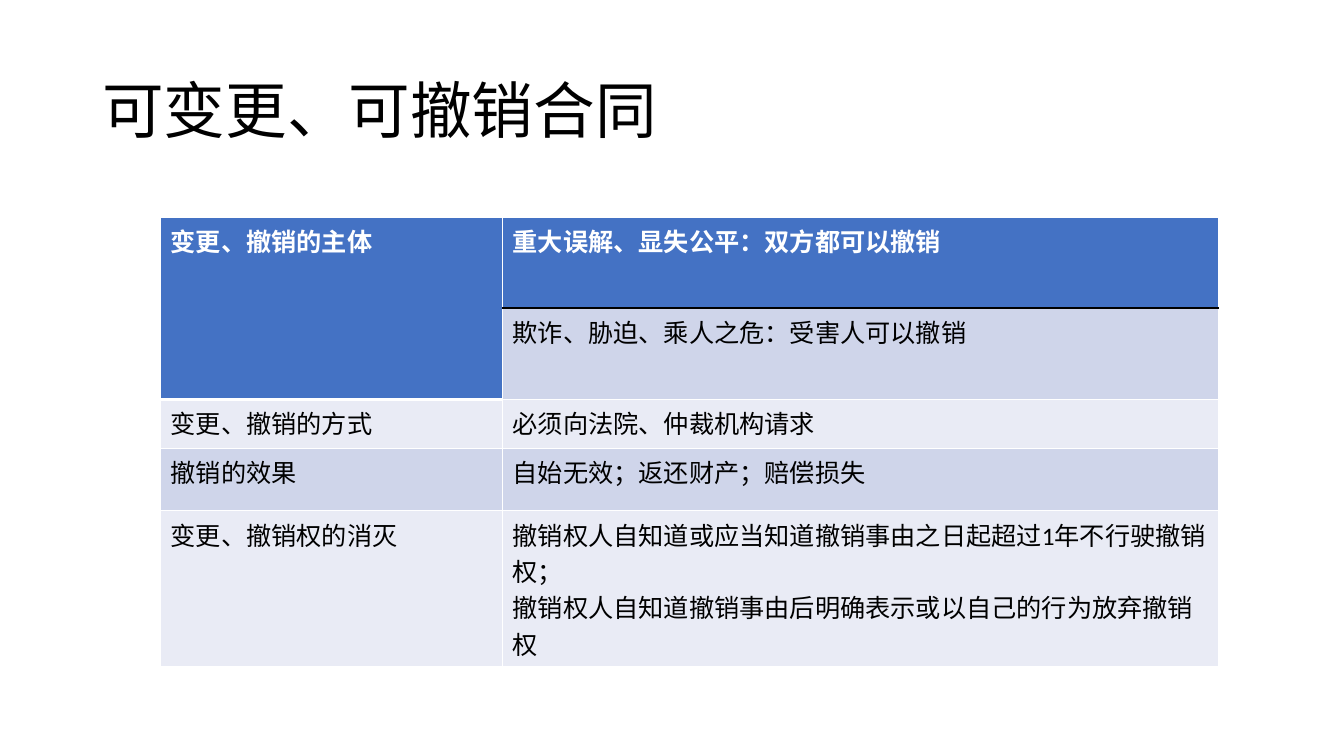
from dataclasses import dataclass

from lxml.etree import SubElement
from pptx import Presentation
from pptx.dml.color import RGBColor
from pptx.enum.text import MSO_ANCHOR
from pptx.oxml.ns import qn
from pptx.slide import Slide
from pptx.table import Table, _Cell
from pptx.text.text import _Paragraph
from pptx.util import Cm, Pt

WHITE = RGBColor(0xFF, 0xFF, 0xFF)
BLACK = RGBColor(0, 0, 0)
BLUE = RGBColor(0x44, 0x72, 0xC4)
BAND = RGBColor(0xCF, 0xD5, 0xEA)
PALE = RGBColor(0xE9, 0xEB, 0xF5)
FONT = "Calibri"


@dataclass(frozen=True)
class Edge:
    color: RGBColor = WHITE
    width: float = 1


@dataclass(frozen=True)
class Row:
    height: float
    label: str
    text: str
    fill: RGBColor


THIN = Edge()
THICK = Edge(width=3)
RULE = Edge(BLACK)

ROWS = [
    Row(2.29, "变更、撤销的主体", "重大误解、显失公平：双方都可以撤销", BLUE),
    Row(2.31, "", "欺诈、胁迫、乘人之危：受害人可以撤销", BAND),
    Row(1.23, "变更、撤销的方式", "必须向法院、仲裁机构请求", PALE),
    Row(1.57, "撤销的效果", "自始无效；返还财产；赔偿损失", BAND),
    Row(3.92, "变更、撤销权的消灭",
        "撤销权人自知道或应当知道撤销事由之日起超过1年不行驶撤销权；\n"
        "撤销权人自知道撤销事由后明确表示或以自己的行为放弃撤销权", PALE),
]
COLS = (8.62, 18.04)


def style(para: _Paragraph, size: float, color: RGBColor, bold: bool = False) -> None:
    font = para.font
    font.name = FONT
    font.size = Pt(size)
    font.bold = bold
    font.color.rgb = color


def border(cell: _Cell, top: Edge, bottom: Edge) -> None:
    """Outline a cell; its sides are always thin. Call before the fill is set."""
    props = cell._tc.get_or_add_tcPr()
    for tag, edge in (("lnL", THIN), ("lnR", THIN), ("lnT", top), ("lnB", bottom)):
        line = SubElement(props, qn(f"a:{tag}"), w=str(Pt(edge.width)))
        solid = SubElement(line, qn("a:solidFill"))
        SubElement(solid, qn("a:srgbClr"), val=str(edge.color))


def fill_cell(cell: _Cell, text: str, fill: RGBColor, top: Edge, bottom: Edge) -> None:
    border(cell, top, bottom)
    cell.fill.solid()
    cell.fill.fore_color.rgb = fill
    cell.text = text
    head = fill == BLUE
    for para in cell.text_frame.paragraphs:
        style(para, 18, WHITE if head else BLACK, head)


def add_title(slide: Slide, text: str) -> None:
    box = slide.shapes.add_textbox(Cm(2.33), Cm(1.01), Cm(29.21), Cm(3.68))
    frame = box.text_frame
    frame.word_wrap = True
    frame.vertical_anchor = MSO_ANCHOR.MIDDLE
    para = frame.paragraphs[0]
    para.text = text
    para.line_spacing = 0.9
    style(para, 44, BLACK)


def fill_table(table: Table) -> None:
    for col, width in zip(table.columns, COLS):
        col.width = Cm(width)
    for i, row in enumerate(ROWS):
        table.rows[i].height = Cm(row.height)
        label, detail = table.rows[i].cells
        fill_cell(label, row.label, row.fill if row.label else BLUE,
                  THICK if i == 2 else THIN, THICK if i < 2 else THIN)
        fill_cell(detail, row.text, row.fill,
                  RULE if i == 1 else THIN, RULE if i == 0 else THIN)
    table.cell(0, 0).merge(table.cell(1, 0))


def main() -> None:
    deck = Presentation()
    deck.slide_width, deck.slide_height = Cm(33.87), Cm(19.05)
    slide = deck.slides.add_slide(deck.slide_layouts[6])
    add_title(slide, "可变更、可撤销合同")
    frame = slide.shapes.add_table(len(ROWS), len(COLS), Cm(4.05), Cm(5.47),
                                   Cm(sum(COLS)), Cm(sum(r.height for r in ROWS)))
    fill_table(frame.table)
    deck.save("out.pptx")


if __name__ == "__main__":
    main()
